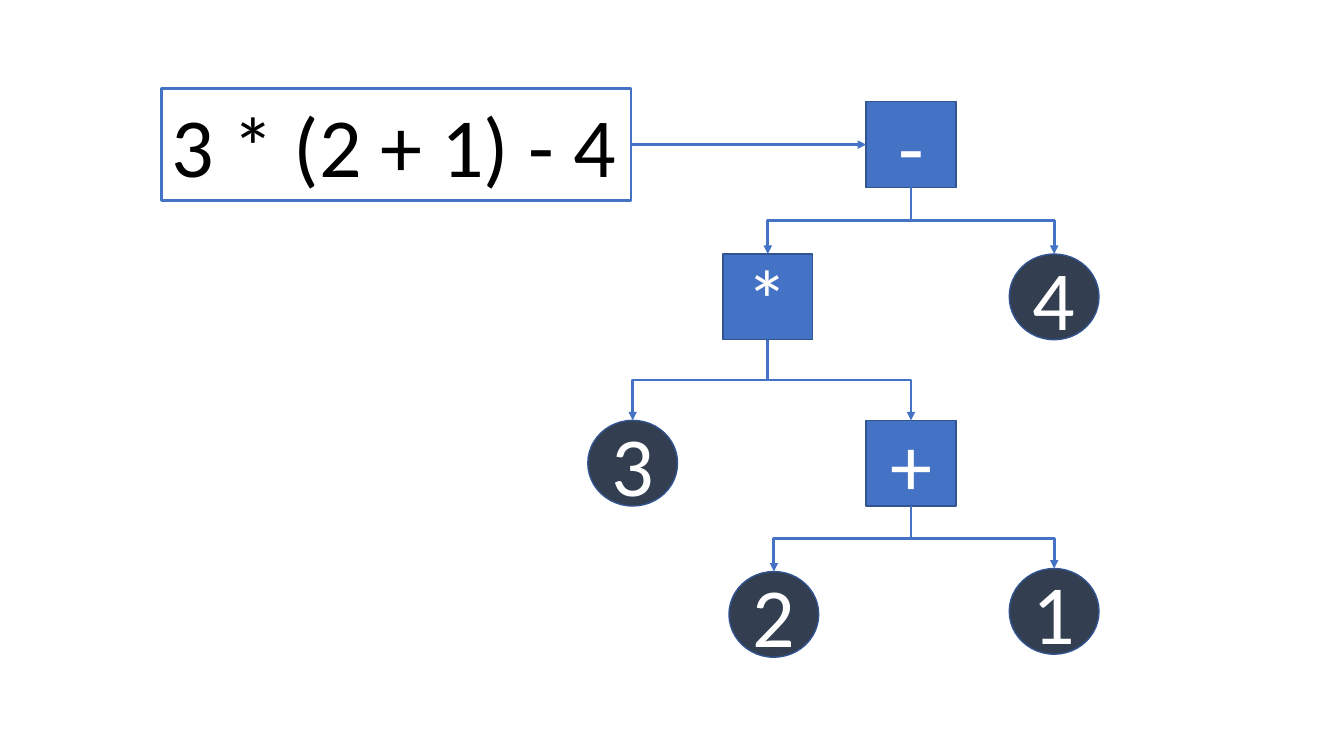
from lxml import etree
from pptx import Presentation
from pptx.dml.color import RGBColor
from pptx.enum.shapes import MSO_CONNECTOR, MSO_SHAPE
from pptx.enum.text import MSO_ANCHOR, MSO_AUTO_SIZE, PP_ALIGN
from pptx.oxml.ns import qn
from pptx.util import Pt

RECTANGLE, OVAL = MSO_SHAPE.RECTANGLE, MSO_SHAPE.OVAL
STRAIGHT, ELBOW = MSO_CONNECTOR.STRAIGHT, MSO_CONNECTOR.ELBOW
MIDDLE, TOP = MSO_ANCHOR.MIDDLE, MSO_ANCHOR.TOP
CENTER, LEFT = PP_ALIGN.CENTER, PP_ALIGN.LEFT
TOP_SIDE, LEFT_SIDE, BOTTOM_SIDE, RIGHT_SIDE = range(4)

PX = 9144
SLIDE = (1333, 750)
COLORS = {
    "operator": "4472C4",
    "number": "333F50",
    "border": "325491",
    "light": "FFFFFF",
    "dark": "000000",
}
FONT, TEXT_SIZE = "Calibri", 60

FORMULA = "3 * (2 + 1) - 4"
FORMULA_AREA = (160, 88, 466, 111)
NODE_SIZE = (89, 85)
NODES = {
    "*": (717, 252),
    "+": (859, 417),
    "-": (859, 101),
    "3": (583, 417),
    "2": (723, 567),
    "1": (1001, 564),
    "4": (1001, 252),
}
BRANCHES = {"-": ("*", "4"), "*": ("3", "+"), "+": ("2", "1")}


def color(name):
    return RGBColor.from_string(COLORS[name])


def add_box(page, kind, area, text, text_color, line_color, line_width, align, anchor):
    box = page.shapes.add_shape(kind, *(value * PX for value in area))
    box.shadow.inherit = False
    box.fill.background()
    box.line.color.rgb = color(line_color)
    box.line.width = Pt(line_width)
    box.text_frame.vertical_anchor = anchor
    para = box.text_frame.paragraphs[0]
    para.alignment = align
    span = para.add_run()
    span.text = text
    span.font.name = FONT
    span.font.size = Pt(TEXT_SIZE)
    span.font.color.rgb = color(text_color)
    return box


def add_node(page, text, place):
    kind, fill = (OVAL, "number") if text.isdigit() else (RECTANGLE, "operator")
    node = add_box(page, kind, place + NODE_SIZE, text, "light", "border", 1, CENTER, MIDDLE)
    node.fill.solid()
    node.fill.fore_color.rgb = color(fill)
    return node


def add_arrow(page, kind, start, start_side, end, end_side):
    arrow = page.shapes.add_connector(kind, 0, 0, 0, 0)
    arrow.begin_connect(start, start_side)
    arrow.end_connect(end, end_side)
    arrow.line.color.rgb = color("operator")
    arrow.line.width = Pt(2)
    etree.SubElement(arrow.line._get_or_add_ln(), qn("a:tailEnd"), type="triangle")
    etree.SubElement(arrow._element.spPr, qn("a:effectLst"))
    return arrow


def add_branch(page, parent, child, bend):
    arrow = add_arrow(page, ELBOW, parent, BOTTOM_SIDE, child, TOP_SIDE)
    begin_x, begin_y = parent.left + parent.width // 2, parent.top + parent.height
    end_x, end_y = child.left + child.width // 2, child.top
    drop, reach = end_y - begin_y, abs(end_x - begin_x)
    arrow.left = (begin_x + end_x - drop) // 2
    arrow.top = (begin_y + end_y - reach) // 2
    arrow.width, arrow.height = drop, reach
    to_right = end_x > begin_x
    properties = arrow._element.spPr
    frame = properties.find(qn("a:xfrm"))
    frame.set("rot", str((270 if to_right else 90) * 60000))
    frame.set("flipH", "1" if to_right else "0")
    frame.set("flipV", "0")
    adjustments = properties.find(qn("a:prstGeom")).find(qn("a:avLst"))
    share = round(bend / drop * 100000)
    etree.SubElement(adjustments, qn("a:gd"), name="adj1", fmla=f"val {share}")


def main():
    deck = Presentation()
    deck.slide_width, deck.slide_height = (value * PX for value in SLIDE)
    page = deck.slides.add_slide(deck.slide_layouts[6])

    formula = add_box(page, RECTANGLE, FORMULA_AREA, FORMULA, "dark", "operator", 2, LEFT, TOP)
    formula.text_frame.word_wrap = False
    formula.text_frame.auto_size = MSO_AUTO_SIZE.SHAPE_TO_FIT_TEXT

    nodes = {text: add_node(page, text, place) for text, place in NODES.items()}
    add_arrow(page, STRAIGHT, formula, RIGHT_SIDE, nodes["-"], LEFT_SIDE)
    for operator, operands in BRANCHES.items():
        parent = nodes[operator]
        bend = (nodes[operands[0]].top - parent.top - parent.height) // 2
        for operand in operands:
            add_branch(page, parent, nodes[operand], bend)

    deck.save("out.pptx")


if __name__ == "__main__":
    main()
